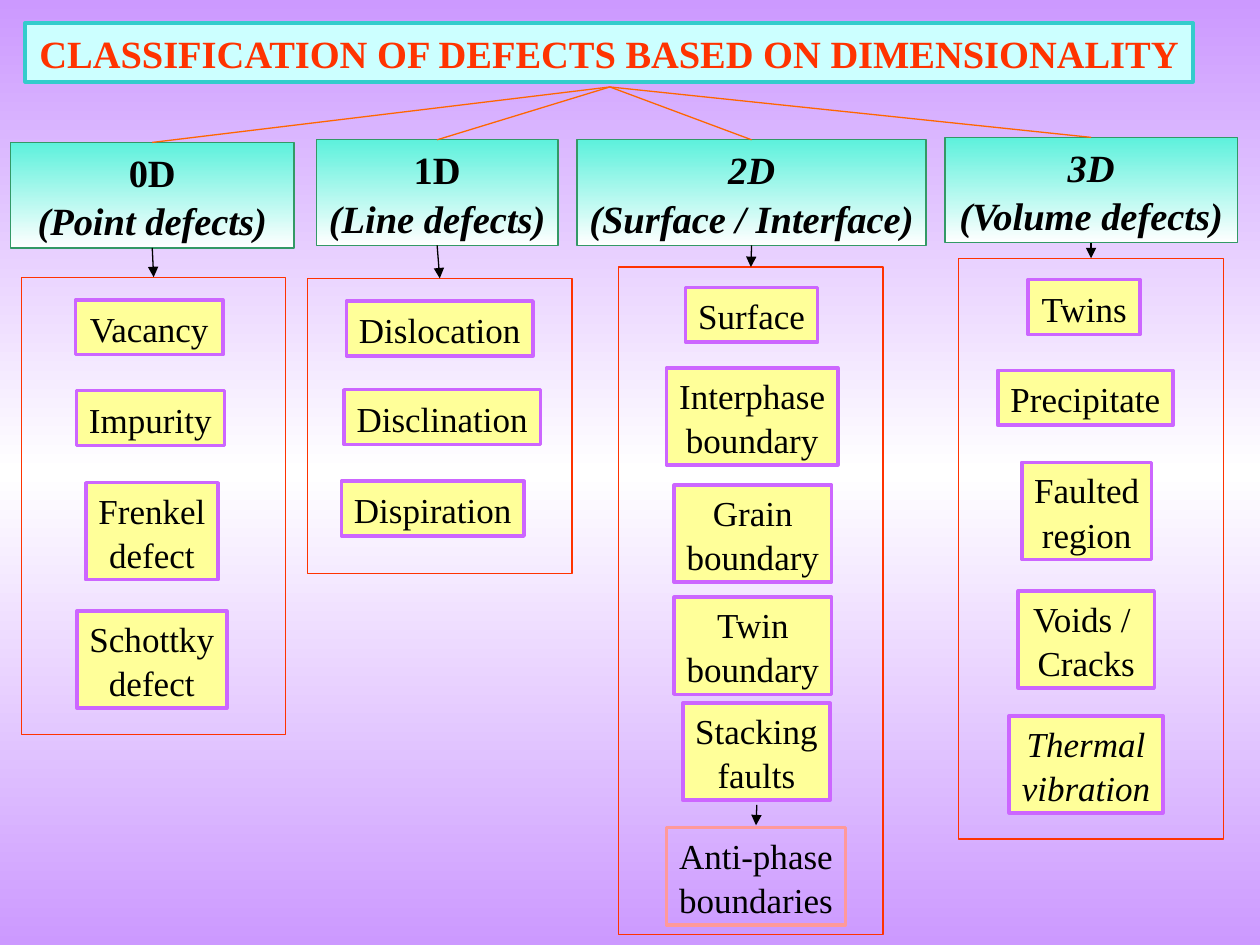
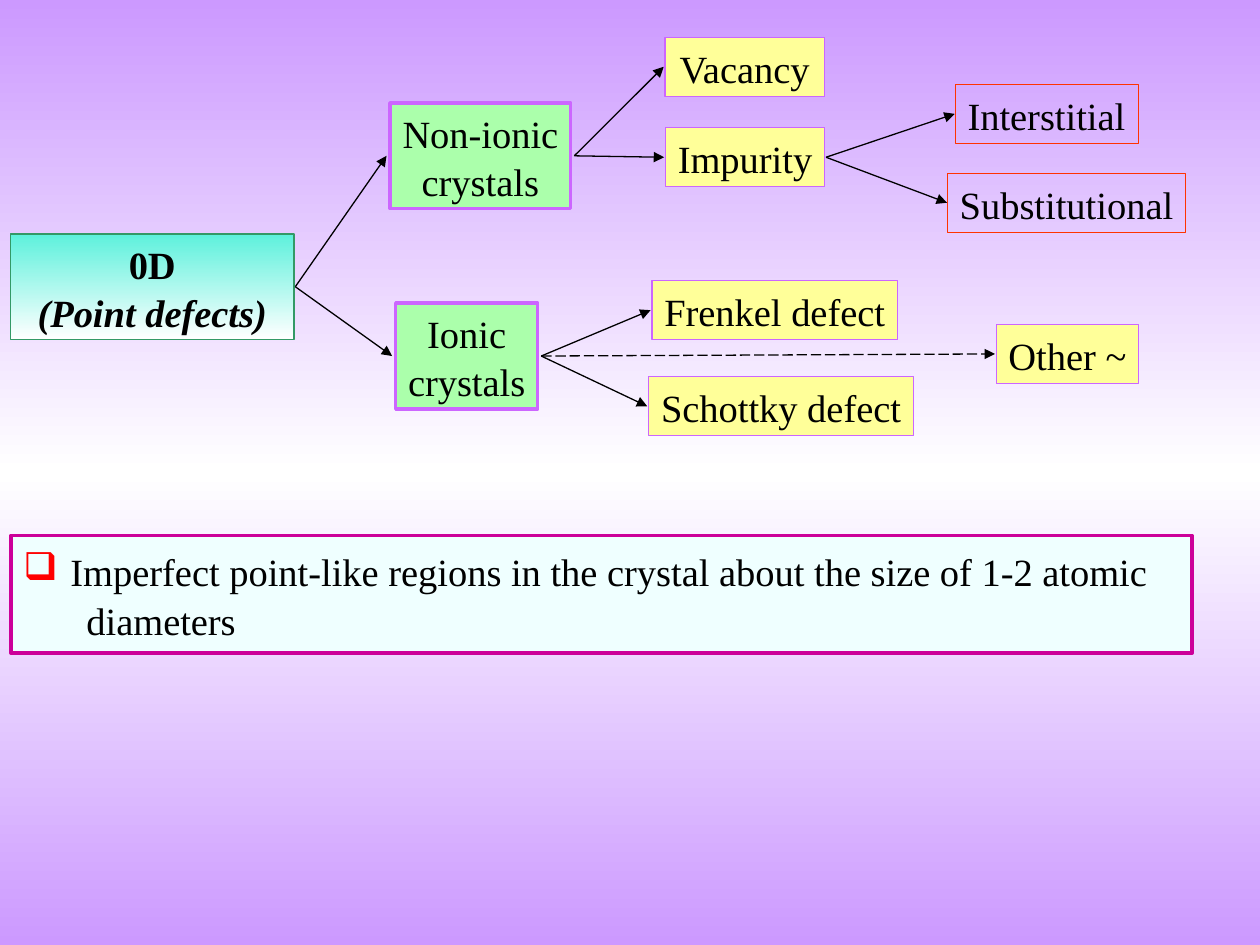
"""Build two slides that classify crystal defects by dimensionality."""
from copy import deepcopy

from pptx import Presentation
from pptx.dml.color import RGBColor
from pptx.enum.dml import MSO_LINE
from pptx.enum.shapes import MSO_CONNECTOR, MSO_SHAPE
from pptx.enum.text import MSO_ANCHOR as ANCHOR, PP_ALIGN as ALIGN
from pptx.oxml.ns import qn
from pptx.util import Pt
from lxml.etree import SubElement

BLACK = RGBColor(0x00, 0x00, 0x00)
WHITE = RGBColor(0xFF, 0xFF, 0xFF)
LILAC = RGBColor(0xCC, 0x99, 0xFF)
PURPLE = RGBColor(0xCC, 0x66, 0xFF)
YELLOW = RGBColor(0xFF, 0xFF, 0x99)
GREEN = RGBColor(0xAB, 0xFF, 0xAB)
DARK_GREEN = RGBColor(0x33, 0x99, 0x66)
AQUA = RGBColor(0x5D, 0xF1, 0xDC)
PALE_CYAN = RGBColor(0xCC, 0xFF, 0xFF)
TEAL = RGBColor(0x33, 0xCC, 0xCC)
ORANGE_RED = RGBColor(0xFF, 0x33, 0x00)
ORANGE = RGBColor(0xFF, 0x66, 0x00)
SALMON = RGBColor(0xFF, 0x99, 0x99)
ICE = RGBColor(0xEF, 0xFF, 0xFF)
MAGENTA = RGBColor(0xCC, 0x00, 0x99)
RED = RGBColor(0xFF, 0x00, 0x00)

SERIF = "Times New Roman"
HAND = "Comic Neue"
LINE_SPACING = 1.05
LINE_PITCH = 1.207
INSET = 3.6
FRAME_WIDTH = 151.2
HUB = Pt(348.5), Pt(49.7)
POINT_HEADING = "0D\n(Point defects)"

COLUMNS = [
    {"heading": (POINT_HEADING, 6, 81.4, 162), "italic_from": 1,
     "frame": (12.2, 158.4, 261.4),
     "defects": [("Vacancy", 43.2, 171.4, 84.2),
                 ("Impurity", 43.6, 223.2, 84.6),
                 ("Frenkel\ndefect", 49, 275.8, 75.6),
                 ("Schottky\ndefect", 43.9, 349.2, 85.7)]},
    {"heading": ("1D\n(Line defects)", 180.7, 79.9, 138.2), "italic_from": 1,
     "frame": (175.7, 159.1, 168.5),
     "defects": [("Dislocation", 198, 172, 106.6),
                 ("Disclination", 196.6, 222.7, 112.3),
                 ("Dispiration", 195.1, 275, 104.4)]},
    {"heading": ("2D\n(Surface / Interface)", 329.8, 79.9, 199.4),
     "italic_from": 0, "frame": (353.5, 152.6, 381.6),
     "defects": [("Surface", 391.7, 164.2, 75.6),
                 ("Interphase\nboundary", 380.9, 210.2, 97.9),
                 ("Grain\nboundary", 385.2, 277.2, 90),
                 ("Twin\nboundary", 385.2, 341.3, 90),
                 ("Stacking\nfaults", 390.2, 401.8, 84.2)]},
    {"heading": ("3D\n(Volume defects)", 540, 78.5, 167), "italic_from": 0,
     "frame": (547.9, 147.6, 331.9),
     "defects": [("Twins", 587.5, 159.8, 64.1),
                 ("Precipitate", 570.2, 211.7, 100.1),
                 ("Faulted\nregion", 583.9, 264.2, 74.2),
                 ("Voids / \nCracks", 581.8, 337.7, 77.8)]},
]


def fill_gradient(fill, *colors):
    """Fill from top to bottom through evenly spaced colours."""
    fill.gradient()
    fill.gradient_angle = 270
    first = fill.gradient_stops[0]._gs
    for _ in colors[2:]:
        first.addnext(deepcopy(first))
    for index, (stop, color) in enumerate(zip(fill.gradient_stops, colors)):
        stop.color.rgb = color
        stop.position = index / (len(colors) - 1)


def add_page(deck):
    """Add a blank page with the shared background."""
    page = deck.slides.add_slide(deck.slide_layouts[6])
    fill_gradient(page.background.fill, LILAC, WHITE, LILAC)
    return page


def add_rect(page, left, top, width, height, *, fill=None, line, weight=0.75):
    """Add a rectangle with no fill, one colour or a gradient."""
    rect = page.shapes.add_shape(MSO_SHAPE.RECTANGLE, Pt(left), Pt(top),
                                 Pt(width), Pt(height))
    rect.shadow.inherit = False
    if fill is None:
        rect.fill.background()
    elif isinstance(fill, list):
        fill_gradient(rect.fill, *fill)
    else:
        rect.fill.solid()
        rect.fill.fore_color.rgb = fill
    rect.line.color.rgb = line
    rect.line.width = Pt(weight)
    return rect


def write(para, text, *, size=22, font=SERIF, color=BLACK, bold=False,
          italic_from=None):
    """Write lines of text, slanted from the given line on."""
    for index, words in enumerate(text.split("\n")):
        if index:
            para.add_line_break()
        span = para.add_run()
        span.text = words
        span.font.size = Pt(size)
        span.font.name = font
        span.font.color.rgb = color
        span.font.bold = bold
        span.font.italic = italic_from is not None and index >= italic_from


def start_text(box, *, align=ALIGN.CENTER, wrap=False, inset=INSET):
    """Set up the text area of a box and return its paragraph."""
    frame = box.text_frame
    frame.word_wrap = wrap
    frame.vertical_anchor = ANCHOR.MIDDLE
    frame.margin_top = frame.margin_bottom = Pt(inset)
    para = frame.paragraphs[0]
    para.alignment = align
    para.line_spacing = LINE_SPACING
    return para


def add_label(page, text, left, top, width, *, fill=YELLOW, line=PURPLE,
              weight=0.75, size=22, **style):
    """Add a box as tall as its lines of centred text."""
    lines = text.count("\n") + 1
    height = round(2 * INSET + lines * size * LINE_PITCH, 2)
    box = add_rect(page, left, top, width, height, fill=fill, line=line,
                   weight=weight)
    write(start_text(box), text, size=size, **style)
    return box


def add_heading(page, text, left, top, width, italic_from):
    """Add the shaded heading of a class of defects."""
    return add_label(page, text, left, top, width, fill=[AQUA, WHITE],
                     line=DARK_GREEN, bold=True, italic_from=italic_from)


def add_line(page, start, end, *, color=BLACK, arrow=True, dash=None):
    """Draw a straight line or arrow between two points."""
    line = page.shapes.add_connector(MSO_CONNECTOR.STRAIGHT, *start, *end)
    line.line.color.rgb = color
    line.line.width = Pt(0.75)
    if dash:
        line.line.dash_style = dash
    properties = line._element.spPr
    if arrow:
        SubElement(properties.find(qn("a:ln")), qn("a:tailEnd"), type="triangle")
    SubElement(properties, qn("a:effectLst"))


def top_centre(box):
    """Return the middle of the top edge."""
    return box.left + box.width // 2, box.top


def bottom_centre(box):
    """Return the middle of the bottom edge."""
    return box.left + box.width // 2, box.top + box.height


def link(page, source, target, **style):
    """Point from the right of one box to the left of another."""
    start = (source.left + source.width + source.line.width,
             source.top + source.height // 2)
    end = target.left - target.line.width, target.top + target.height // 2
    add_line(page, start, end, **style)


def add_column(page, heading, italic_from, frame, defects):
    """Add a class heading, its frame and the defects in it."""
    left, top, height = frame
    border = add_rect(page, left, top, FRAME_WIDTH, height, line=ORANGE_RED)
    title = add_heading(page, *heading, italic_from)
    add_line(page, HUB, top_centre(title), color=ORANGE, arrow=False)
    add_line(page, bottom_centre(title), top_centre(border))
    for defect in defects:
        add_label(page, *defect, size=20, weight=2)


def add_note(page, text):
    """Add the framed remark with a red box bullet."""
    box = add_rect(page, 6.3, 306, 674.8, 67.2, fill=ICE, line=MAGENTA,
                   weight=2.25)
    para = start_text(box, align=ALIGN.LEFT, wrap=True, inset=7.2)
    properties = para._p.get_or_add_pPr()
    color = SubElement(properties, qn("a:buClr"))
    SubElement(color, qn("a:srgbClr"), val=str(RED))
    SubElement(properties, qn("a:buChar"), char="❑")
    write(para, " ", font=HAND)
    write(para, text)


def build_overview(deck):
    """Show all defects by dimension."""
    page = add_page(deck)
    add_label(page, "CLASSIFICATION OF DEFECTS BASED ON DIMENSIONALITY",
              14.4, 13, 667.4, fill=PALE_CYAN, line=TEAL, weight=2,
              color=ORANGE_RED, bold=True)
    for column in COLUMNS:
        add_column(page, **column)
    add_label(page, "Thermal\nvibration", 576.7, 409, 87.8, size=20, weight=2,
              italic_from=0)
    add_label(page, "Anti-phase\nboundaries", 380.9, 473, 102.2, size=20,
              fill=None, line=SALMON, weight=2)
    add_line(page, (Pt(432.5), Pt(460)), (Pt(432), Pt(471.6)))


def build_point_defects(deck):
    """Show how point defects divide by kind of crystal."""
    page = add_page(deck)
    point = add_heading(page, POINT_HEADING, 6, 133.7, 162, 1)
    non_ionic = add_label(page, "Non-ionic\ncrystals", 222.9, 58.9, 103.3,
                          fill=GREEN, weight=2)
    ionic = add_label(page, "Ionic\ncrystals", 226.1, 173.3, 81.2,
                      fill=GREEN, weight=2)
    vacancy = add_label(page, "Vacancy", 380, 21.3, 91)
    impurity = add_label(page, "Impurity", 380.3, 73, 91)
    frenkel = add_label(page, "Frenkel defect", 372.5, 160.4, 140.4)
    schottky = add_label(page, "Schottky defect", 370.6, 215.3, 151.4)
    other = add_label(page, "Other ~", 569.3, 185.4, 81.4)
    sites = [add_label(page, *site, fill=None, line=ORANGE_RED, weight=0.25)
             for site in (("Interstitial", 545.8, 48.2, 104.4),
                          ("Substitutional", 541.4, 99, 136.1))]
    branches = [(point, (non_ionic, ionic)), (non_ionic, (vacancy, impurity)),
                (ionic, (frenkel, schottky)), (impurity, sites)]
    for source, targets in branches:
        for target in targets:
            link(page, source, target)
    link(page, ionic, other, dash=MSO_LINE.LONG_DASH)
    add_note(page, "Imperfect point-like regions in the crystal about the "
                   "size of 1-2 atomic\n\tdiameters")


def main():
    """Build and save the deck."""
    deck = Presentation()
    deck.slide_width, deck.slide_height = Pt(720), Pt(540)
    build_overview(deck)
    build_point_defects(deck)
    deck.save("out.pptx")


if __name__ == "__main__":
    main()
